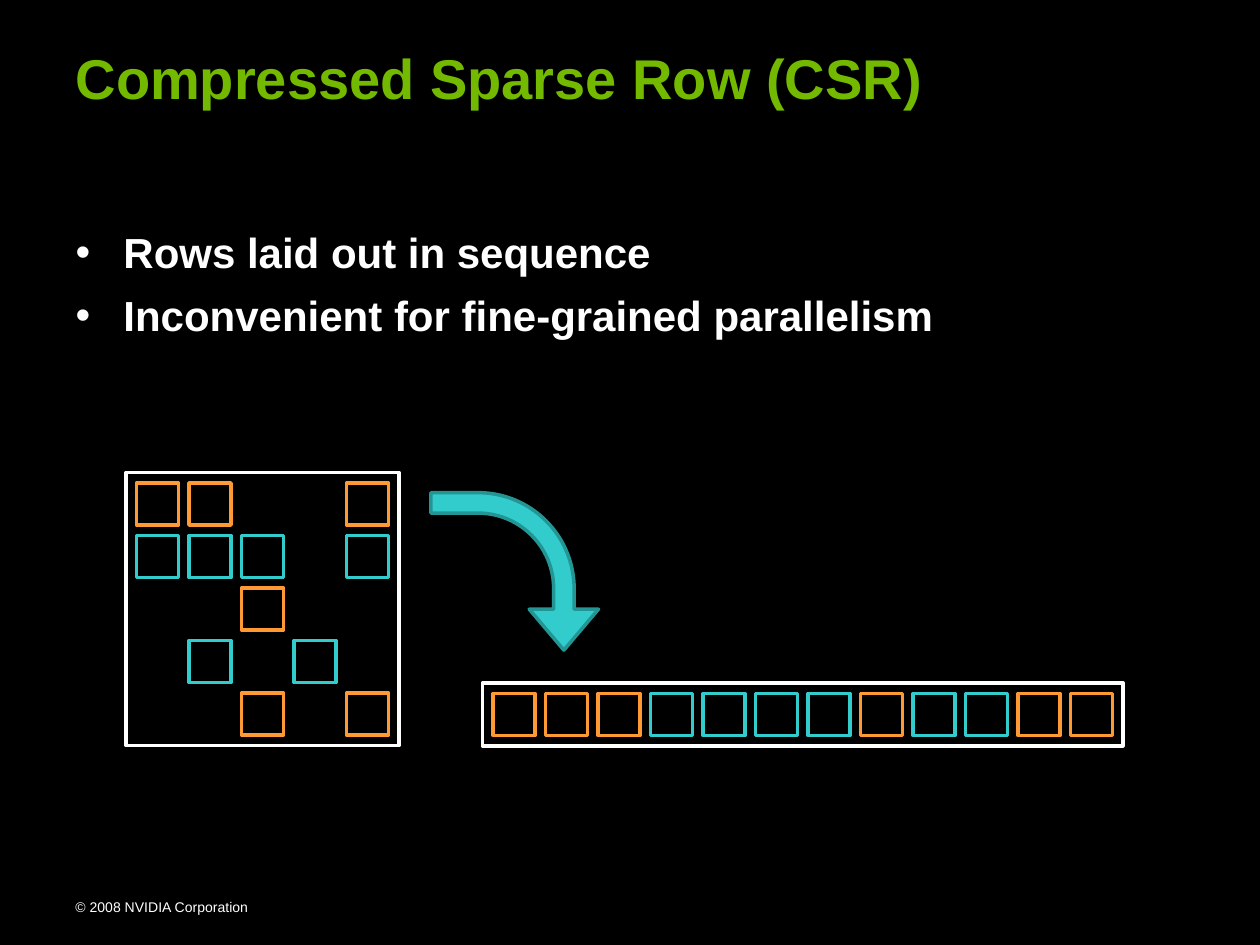
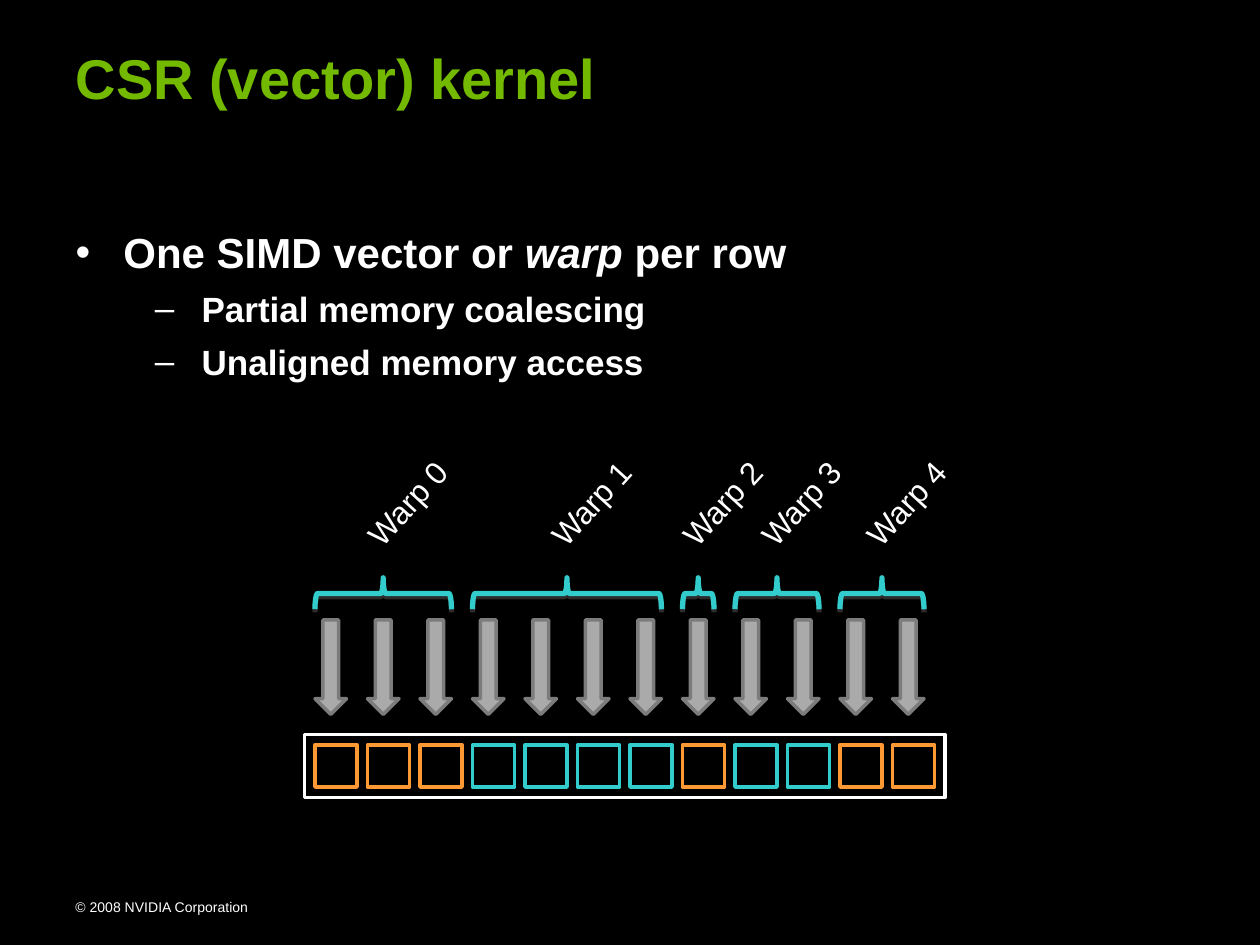
from pptx import Presentation, util as u
from pptx.dml.color import RGBColor
from pptx.enum import shapes, text
from pptx.oxml import parse_xml
from pptx.oxml.ns import nsdecls

BLACK, WHITE, GREEN = "000000", "FFFFFF", "73B900"
ORANGE, TEAL, DARK_TEAL = "FF9933", "33CCCC", "239595"
GRAY, DARK_GRAY = "AAAAAA", "7C7C7C"

CELL, PITCH, MARGIN = 1 / 3, 5 / 12, 1 / 12
ARROW_WIDTH, BRACE_DEPTH = 0.25, 0.25

# Column numbers of the nonzero entries in each matrix row
MATRIX_ROWS = [(0, 1, 4), (0, 1, 2, 4), (2,), (1, 3), (2, 4)]
ROW_COLORS = [ORANGE, TEAL, ORANGE, TEAL, ORANGE]
SEQUENCE = [color for columns, color in zip(MATRIX_ROWS, ROW_COLORS) for _ in columns]

BULLET_LEVELS = [
    {"size": 24, "margin": 0.38, "indent": -0.38, "before": 7},
    {"size": 20, "margin": 1, "indent": -0.37, "before": 6},
]


def rgb(hex_color):
    return RGBColor.from_string(hex_color)


class Deck:
    def __init__(self):
        self.presentation = Presentation()
        self.presentation.slide_width = u.Inches(10)
        self.presentation.slide_height = u.Inches(7.5)
        background = self.presentation.slide_master.background.fill
        background.solid()
        background.fore_color.rgb = rgb(BLACK)
        self.slide = None

    def add_slide(self, title, bullets):
        """Start a slide; bullets are (level, [(text, italic), ...]) pairs."""
        layout = self.presentation.slide_layouts[1]
        self.slide = self.presentation.slides.add_slide(layout)
        self.title(title)
        self.bullets(bullets)
        self.label("© 2008 NVIDIA Corporation", 0.5, 7.08, 2.25, 0.24, size=8)

    def place(self, shape, left, top, width, height):
        box = {"left": left, "top": top, "width": width, "height": height}
        for name, value in box.items():
            setattr(shape, name, u.Inches(value))

    def format_font(self, font, size, color=WHITE, **options):
        values = {"name": "Arial", "size": u.Pt(size), **options}
        for name, value in values.items():
            setattr(font, name, value)
        font.color.rgb = rgb(color)

    def title(self, words):
        title = self.slide.shapes.title
        self.place(title, 0.5, 0.3, 8.08, 0.63)
        frame = title.text_frame
        frame.text = words
        frame.auto_size = text.MSO_AUTO_SIZE.NONE
        frame.vertical_anchor = text.MSO_ANCHOR.BOTTOM
        paragraph = frame.paragraphs[0]
        paragraph.alignment = text.PP_ALIGN.LEFT
        self.format_font(paragraph.runs[0].font, 32, GREEN, bold=True)

    def bullets(self, items):
        body = self.slide.placeholders[1]
        self.place(body, 0.5, 1.75, 9, 5.17)
        frame = body.text_frame
        frame.auto_size = text.MSO_AUTO_SIZE.NONE
        for index, (level, runs) in enumerate(items):
            paragraph = frame.add_paragraph() if index else frame.paragraphs[0]
            style = BULLET_LEVELS[level]
            paragraph.level = level
            paragraph.space_before = u.Pt(style["before"] if index else 0)
            properties = paragraph._p.get_or_add_pPr()
            properties.set("marL", str(u.Inches(style["margin"])))
            properties.set("indent", str(u.Inches(style["indent"])))
            for words, italic in runs:
                run = paragraph.add_run()
                run.text = words
                self.format_font(run.font, style["size"], bold=True, italic=italic)

    def label(self, words, left, top, width, height, size, rotation=0):
        label = self.slide.shapes.add_textbox(0, 0, 0, 0)
        self.place(label, left, top, width, height)
        label.rotation = rotation
        label.text_frame.text = words
        label.text_frame.word_wrap = not rotation
        self.format_font(label.text_frame.paragraphs[0].runs[0].font, size)

    def shape(self, kind, left, top, width, height, line, fill=None,
              line_width=2, rotation=0, adjustments=()):
        shape = self.slide.shapes.add_shape(kind, 0, 0, 0, 0)
        self.place(shape, left, top, width, height)
        shape.rotation = rotation
        shape.shadow.inherit = False
        shape.line.color.rgb = rgb(line)
        shape.line.width = u.Pt(line_width)
        if fill:
            shape.fill.solid()
            shape.fill.fore_color.rgb = rgb(fill)
        else:
            shape.fill.background()
        for index, value in enumerate(adjustments):
            shape.adjustments[index] = value
        return shape

    def rectangle(self, left, top, width, height, color):
        self.shape(shapes.MSO_SHAPE.RECTANGLE, left, top, width, height, color)

    def cell_frame(self, left, top, columns, rows, cells):
        """Draw a white frame and its cells, given as (column, row, color)."""
        self.rectangle(left, top, columns * PITCH + MARGIN, rows * PITCH + MARGIN, WHITE)
        for column, row, color in cells:
            self.rectangle(left + MARGIN + column * PITCH, top + MARGIN + row * PITCH,
                           CELL, CELL, color)

    def sequence(self, left, top):
        cells = [(column, 0, color) for column, color in enumerate(SEQUENCE)]
        self.cell_frame(left, top, len(SEQUENCE), 1, cells)

    def brace(self, center, middle, span):
        """Draw an upward brace with a soft shadow."""
        brace = self.shape(shapes.MSO_SHAPE.RIGHT_BRACE, center - BRACE_DEPTH / 2,
                           middle - span / 2, BRACE_DEPTH, span, TEAL,
                           line_width=3, rotation=270)
        effects = brace._element.spPr.find(
            "{http://schemas.openxmlformats.org/drawingml/2006/main}effectLst")
        effects.append(parse_xml(
            f'<a:outerShdw {nsdecls("a")} dist="{u.Pt(1.8)}" dir="5400000" rotWithShape="0">'
            '<a:srgbClr val="808080"><a:alpha val="35000"/></a:srgbClr></a:outerShdw>'))


def add_format_slide(deck):
    deck.add_slide("Compressed Sparse Row (CSR)", [
        (0, [("Rows laid out in sequence", False)]),
        (0, [("Inconvenient for fine-grained parallelism", False)]),
    ])
    cells = [(column, row, ROW_COLORS[row])
             for row, columns in enumerate(MATRIX_ROWS) for column in columns]
    deck.cell_frame(1, 3.75, 5, 5, cells)
    deck.sequence(3.83, 5.42)
    deck.shape(shapes.MSO_SHAPE.BENT_ARROW, 3.46, 3.87, 1.25, 1.33, DARK_TEAL, TEAL,
               rotation=90, adjustments=(0.13, 0.22, 0.26, 0.61))


def add_kernel_slide(deck):
    deck.add_slide("CSR (vector) kernel", [
        (0, [("One SIMD vector or ", False), ("warp", True), (" per row", False)]),
        (1, [("Partial memory coalescing", False)]),
        (1, [("Unaligned memory access", False)]),
    ])
    left = 2.5
    deck.sequence(left - MARGIN, 5.83)
    for index in range(len(SEQUENCE)):
        deck.shape(shapes.MSO_SHAPE.DOWN_ARROW, left + index * PITCH, 4.92,
                   ARROW_WIDTH, 0.75, DARK_GRAY, GRAY)
    for warp, columns in enumerate(MATRIX_ROWS):
        span = (len(columns) - 1) * PITCH + ARROW_WIDTH
        center = left + span / 2
        deck.brace(center, 4.71, span)
        deck.label(f"Warp {warp}", center - 0.31, 3.79, 1, 0.4, size=18, rotation=312.3)
        left += len(columns) * PITCH


def main():
    deck = Deck()
    add_format_slide(deck)
    add_kernel_slide(deck)
    deck.presentation.save("out.pptx")


if __name__ == "__main__":
    main()
